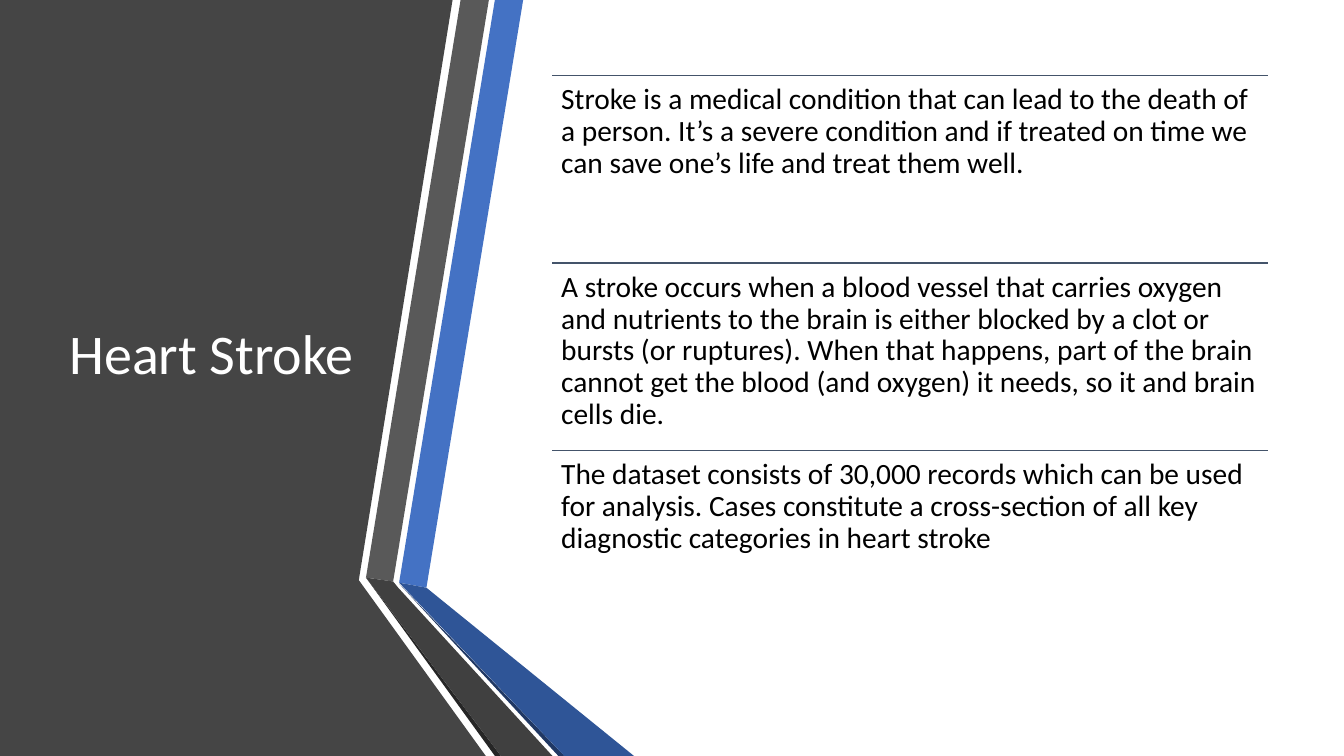
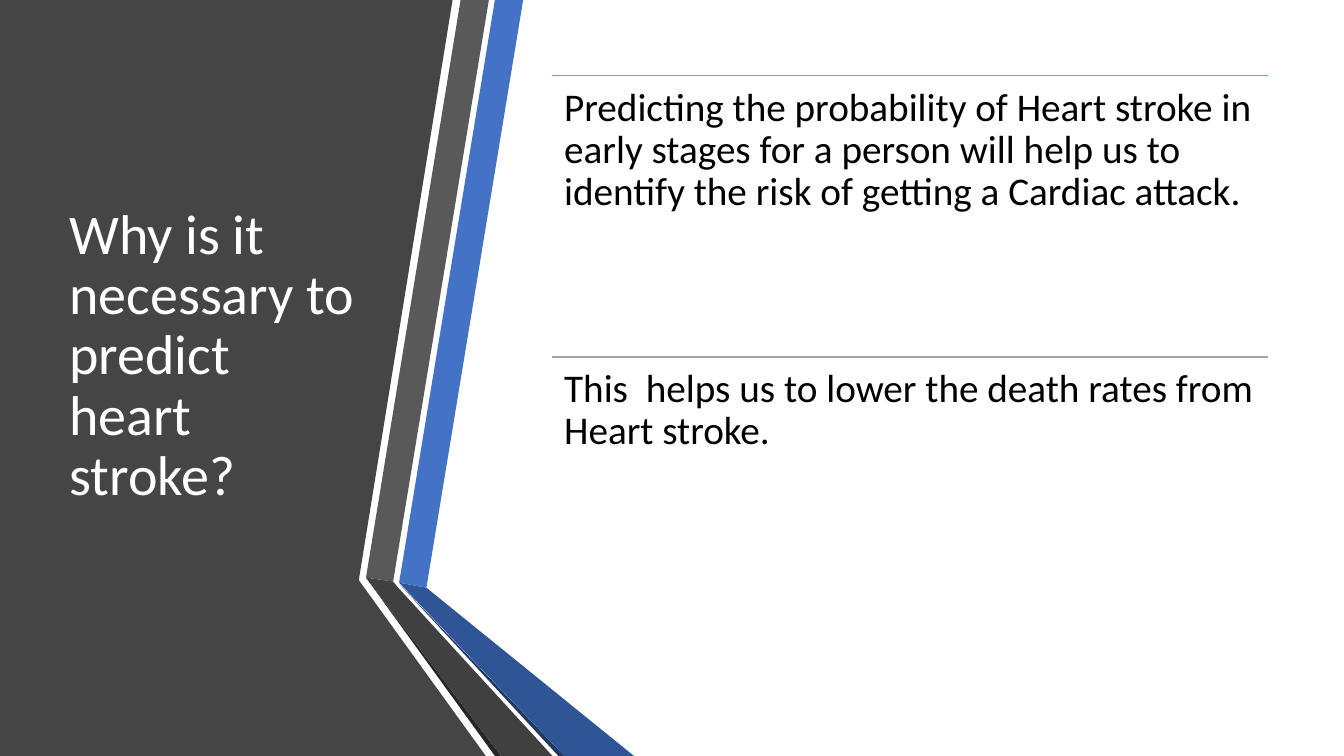
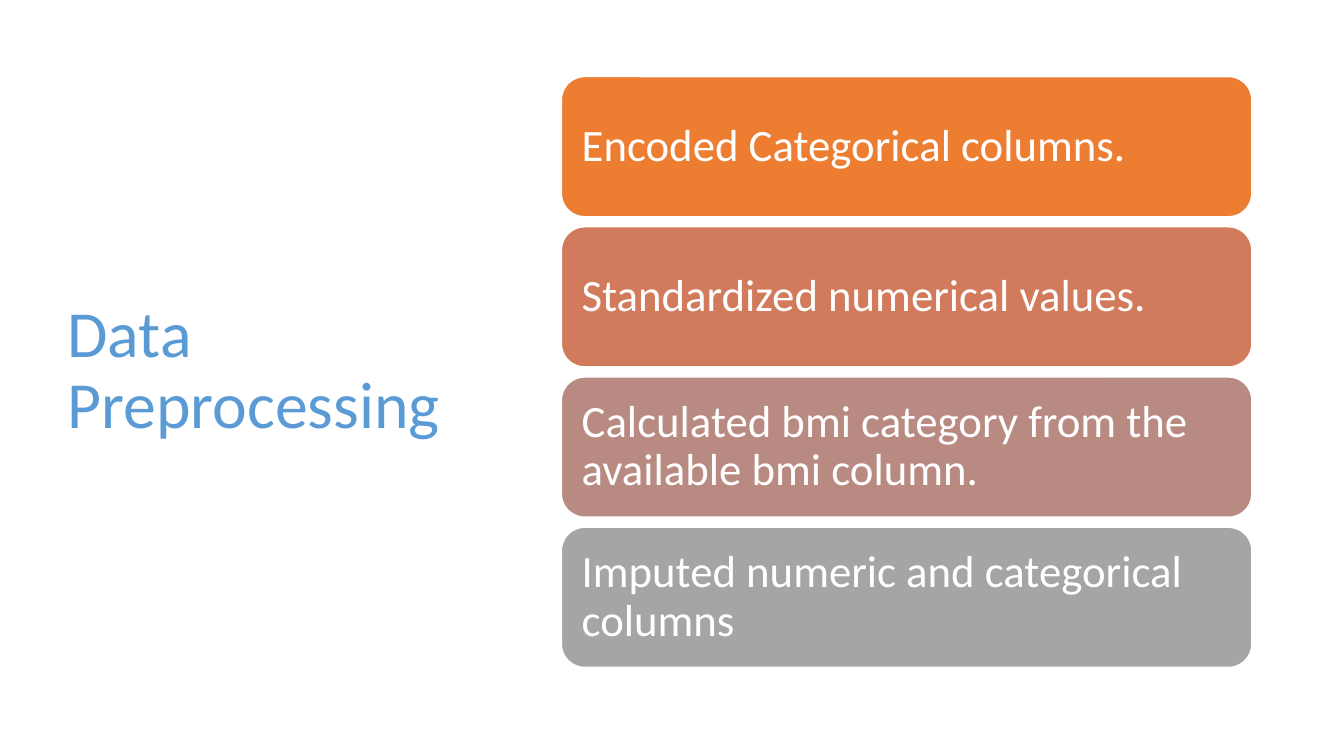
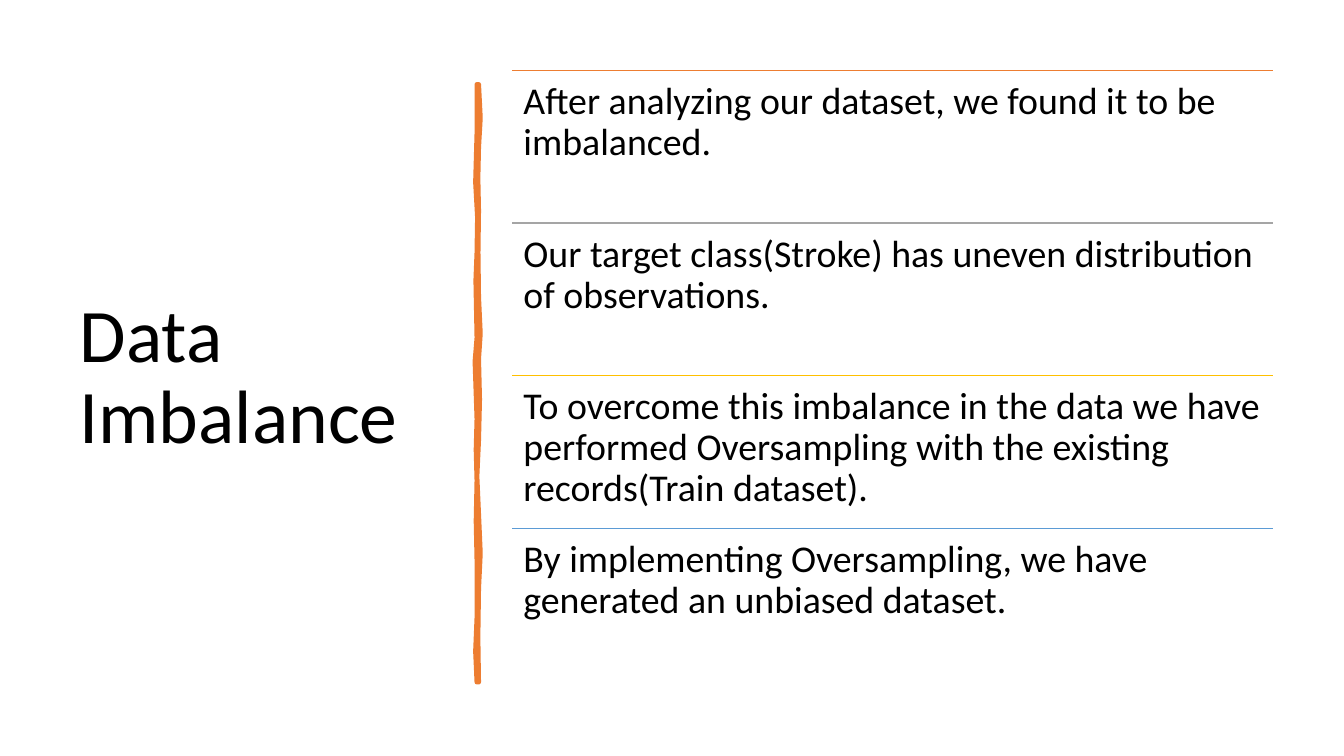
from dataclasses import dataclass

from lxml.etree import SubElement
from pptx import Presentation
from pptx.dml.color import RGBColor
from pptx.enum.shapes import MSO_CONNECTOR, MSO_SHAPE
from pptx.enum.text import MSO_ANCHOR, MSO_AUTO_SIZE, PP_ALIGN
from pptx.oxml.ns import qn
from pptx.util import Pt


@dataclass(frozen=True)
class Theme:
    font: str = "Calibri"
    black: str = "000000"
    white: str = "FFFFFF"
    slate: str = "44546A"
    orange: str = "ED7D31"
    clay: str = "D17B5C"
    rose: str = "B98A82"
    grey: str = "A5A5A5"
    gold: str = "FFC000"
    sky: str = "5B9BD5"
    panel: str = "454545"
    blue: str = "4472C4"
    blue_dark: str = "2F5597"
    blue_edge: str = "203864"
    band: str = "595959"
    band_dark: str = "404040"
    band_edge: str = "262626"
    panel_title: float = 40
    card_title: float = 47
    spine_title: float = 54
    small: float = 21
    medium: float = 27
    large: float = 28
    card: float = 32
    rule: float = 1
    spine: float = 3.25
    leading: float = 0.9
    inset: float = 0.3  # text inset as a share of the type size


@dataclass(frozen=True)
class Box:
    x: float
    y: float
    w: float
    h: float

    def rows(self, n, gap=0):
        """Split the box into n equal rows."""
        h = (self.h - gap * (n - 1)) / n
        return [Box(self.x, self.y + i * (h + gap), self.w, h) for i in range(n)]

    def emu(self):
        return Pt(self.x), Pt(self.y), Pt(self.w), Pt(self.h)


T = Theme()
SLIDE = Box(0, 0, 960, 540)
PANEL_TITLE = Box(42.5, 54, 218.9, 401.8)
PANEL_ROWS = Box(394.6, 54, 511.2, 401.8)

# Folded panel: colour and outline of each face
FACES = [
    (T.panel, [(0, 0), (323.3, 0), (256.3, 414.4), (347, 540), (0, 540)]),
    (T.blue, [(285.1, 416.2), (304.6, 419.8), (373.7, 0), (353.5, 0)]),
    (T.band, [(349.2, 0), (329, 0), (261.4, 412.6), (280.8, 415.4)]),
    (T.band_edge, [(261.4, 412.6), (353.5, 540), (357.8, 540)]),
    (T.blue_edge, [(285.1, 416.9), (398.9, 540), (403.2, 540)]),
    (T.blue_dark, [(285.1, 416.2), (403.2, 540), (452.9, 540), (304.6, 419.8)]),
    (T.band_dark, [(394.6, 540), (284.4, 419.8), (280.8, 415.4),
                   (261.4, 412.6), (357.8, 540)]),
]

# Hand-drawn spine, relative to its top left corner
SPINE = [
    (2, 0), (3.2, 24), (2, 45), (1.5, 67), (2, 90), (1.6, 120), (2, 152),
    (3.2, 178), (2, 196), (2.7, 225), (2, 254), (0.8, 280), (2, 307),
    (3.2, 335), (2, 360), (1.5, 395), (2, 427),
    (0.6, 427), (-0.4, 405), (0.6, 381), (0.6, 340), (0, 312), (0.6, 283),
    (0, 261), (0.6, 239), (-0.8, 198), (0.6, 181), (-0.2, 140), (0.6, 120),
    (1, 95), (-0.4, 70), (0.6, 35), (0.6, 0),
]


def rgb(value):
    return RGBColor.from_string(value)


def set_text(sp, text, size, color, inset, anchor):
    tf = sp.text_frame
    tf.word_wrap = True
    tf.auto_size = MSO_AUTO_SIZE.NONE
    tf.vertical_anchor = anchor
    tf.margin_left = tf.margin_right = Pt(inset)
    tf.margin_top = tf.margin_bottom = Pt(inset)
    tf.text = text
    p = tf.paragraphs[0]
    p.alignment = PP_ALIGN.LEFT
    p.line_spacing = T.leading
    font = p.runs[0].font
    font.name, font.size, font.color.rgb = T.font, Pt(size), rgb(color)


def add_outline(s, x, y, points, color, line=0):
    """Filled polygon with an optional rounded line of the same colour."""
    pts = [(Pt(x + dx), Pt(y + dy)) for dx, dy in points]
    fb = s.shapes.build_freeform(*pts[0])
    fb.add_line_segments(pts[1:], close=True)
    sp = fb.convert_to_shape()
    sp.shadow.inherit = False
    sp.fill.solid()
    sp.fill.fore_color.rgb = rgb(color)
    if line:
        sp.line.color.rgb = rgb(color)
        sp.line.width = Pt(line)
        SubElement(sp.line._get_or_add_ln(), qn("a:round"))
    else:
        sp.line.fill.background()


def add_title(s, box, text, size, color):
    sp = s.shapes.title
    sp.left, sp.top, sp.width, sp.height = box.emu()
    set_text(sp, text, size, color, 7.2, MSO_ANCHOR.MIDDLE)
    # Bring the title in front of what is already drawn
    sp.element.getparent().append(sp.element)


def add_ruled_rows(s, box, rows, size):
    """Equal rows, each with a coloured rule above its text."""
    for row, (color, text) in zip(box.rows(len(rows)), rows):
        x, y, w, h = row.emu()
        rule = s.shapes.add_connector(MSO_CONNECTOR.STRAIGHT, x, y, x + w, y)
        rule.line.color.rgb = rgb(color)
        rule.line.width = Pt(T.rule)
        SubElement(rule.element.spPr, qn("a:effectLst"))
        sp = s.shapes.add_textbox(x, y, w, h)
        set_text(sp, text, size, T.black, T.inset * size, MSO_ANCHOR.TOP)


def add_cards(s, box, cards):
    """Equal rounded cards, stacked."""
    for cell, (color, text) in zip(box.rows(len(cards), gap=7.2), cards):
        sp = s.shapes.add_shape(MSO_SHAPE.ROUNDED_RECTANGLE, *cell.emu())
        sp.shadow.inherit = False
        sp.fill.solid()
        sp.fill.fore_color.rgb = rgb(color)
        sp.line.color.rgb = rgb(T.white)
        sp.line.width = Pt(T.rule)
        # The corner radius takes a little room from the text as well
        set_text(sp, text, T.card, T.white, T.inset * T.card, MSO_ANCHOR.MIDDLE)


def new_slide(prs):
    return prs.slides.add_slide(prs.slide_layouts[5])


def panel_slide(prs, title, rows, size):
    s = new_slide(prs)
    for color, points in FACES:
        add_outline(s, SLIDE.x, SLIDE.y, points, color)
    add_title(s, PANEL_TITLE, title, T.panel_title, T.white)
    add_ruled_rows(s, PANEL_ROWS, rows, size)


def card_slide(prs, title, cards):
    s = new_slide(prs)
    add_title(s, Box(41, 49, 299.5, 433.4), title, T.card_title, T.sky)
    add_cards(s, Box(401, 54.7, 493.2, 422), cards)


def spine_slide(prs, title, rows):
    s = new_slide(prs)
    add_title(s, Box(49.7, 50.4, 269.3, 440), title, T.spine_title, T.black)
    add_outline(s, 340, 60.3, SPINE, T.orange, T.spine)
    add_ruled_rows(s, Box(365.8, 50.4, 543.6, 436), rows, T.medium)


def main():
    prs = Presentation()
    prs.slide_width, prs.slide_height = Pt(SLIDE.w), Pt(SLIDE.h)

    panel_slide(prs, "Heart Stroke", [
        (T.slate, "Stroke is a medical condition that can lead to the death of "
                  "a person. It’s a severe condition and if treated on time we "
                  "can save one’s life and treat them well."),
        (T.slate, "A stroke occurs when a blood vessel that carries oxygen and "
                  "nutrients to the brain is either blocked by a clot or bursts "
                  "(or ruptures). When that happens, part of the brain cannot "
                  "get the blood (and oxygen) it needs, so it and brain cells "
                  "die."),
        (T.slate, "The dataset consists of 30,000 records which can be used for "
                  "analysis. Cases constitute a cross-section of all key "
                  "diagnostic categories in heart stroke"),
    ], T.small)

    panel_slide(prs, "Why is it necessary to predict heart stroke?", [
        (T.orange, "Predicting the probability of Heart stroke in early stages "
                   "for a person will help us to identify the risk of getting "
                   "a Cardiac attack."),
        (T.grey, "This  helps us to lower the death rates from Heart stroke."),
    ], T.large)

    card_slide(prs, "Data Preprocessing", [
        (T.orange, "Encoded Categorical columns."),
        (T.clay, "Standardized numerical values."),
        (T.rose, "Calculated bmi category from the available bmi column."),
        (T.grey, "Imputed numeric and categorical columns"),
    ])

    spine_slide(prs, "Data Imbalance", [
        (T.orange, "After analyzing our dataset, we found it to be imbalanced."),
        (T.grey, "Our target class(Stroke) has uneven distribution of "
                 "observations."),
        (T.gold, "To overcome this imbalance in the data we have performed "
                 "Oversampling with the existing records(Train dataset)."),
        (T.sky, "By implementing Oversampling, we have generated an unbiased "
                "dataset."),
    ])

    prs.save("out.pptx")


if __name__ == "__main__":
    main()
